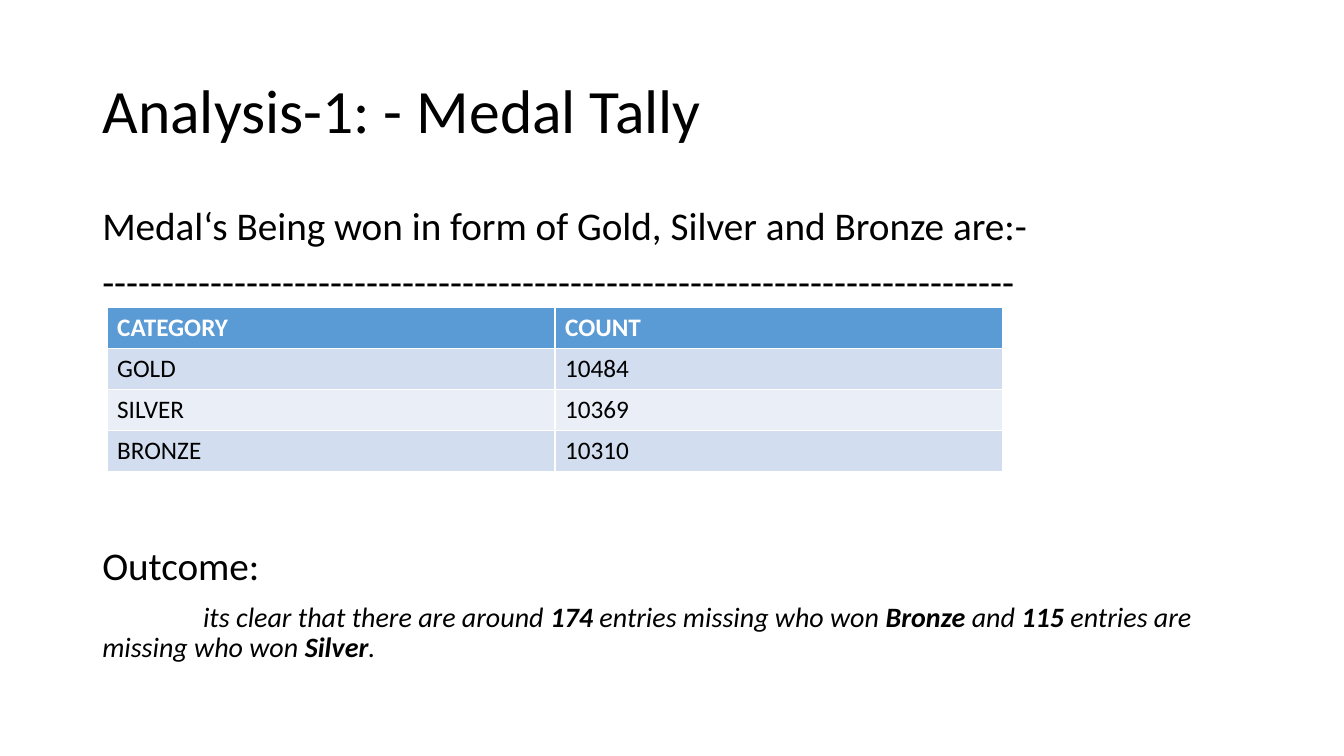
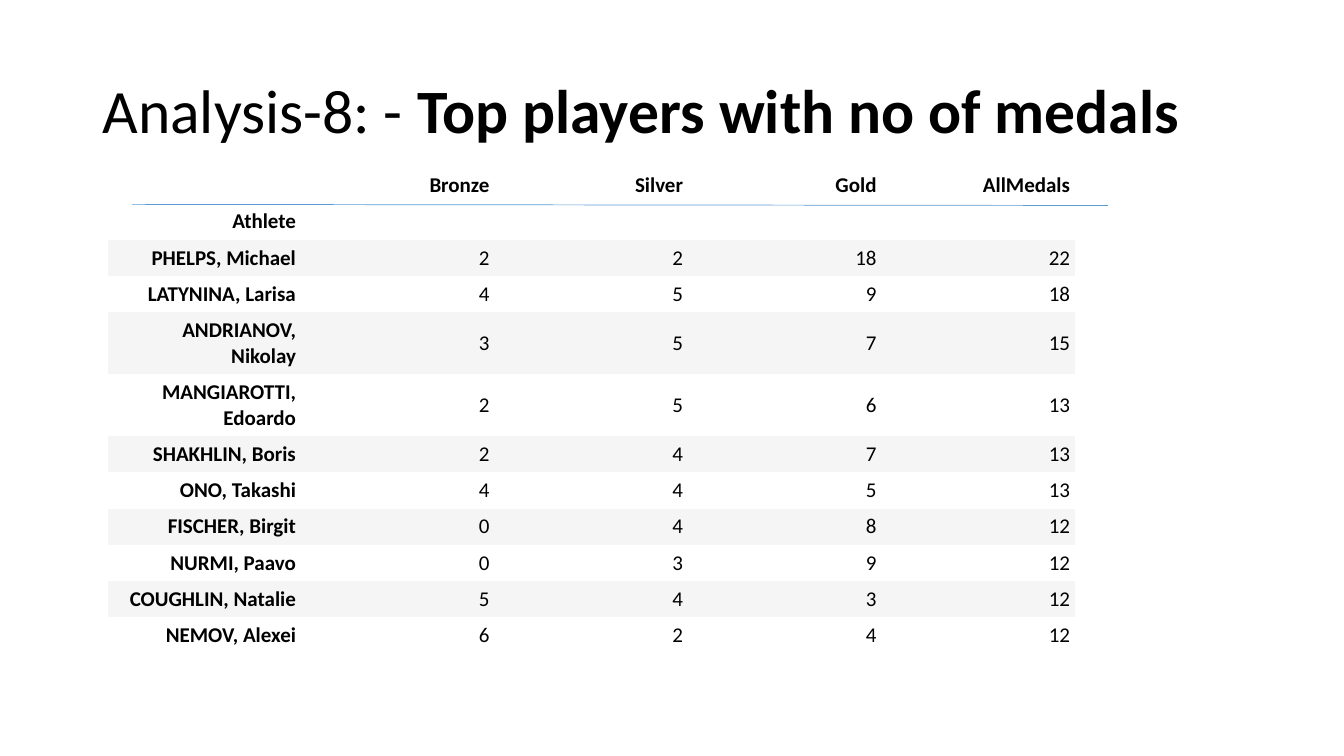
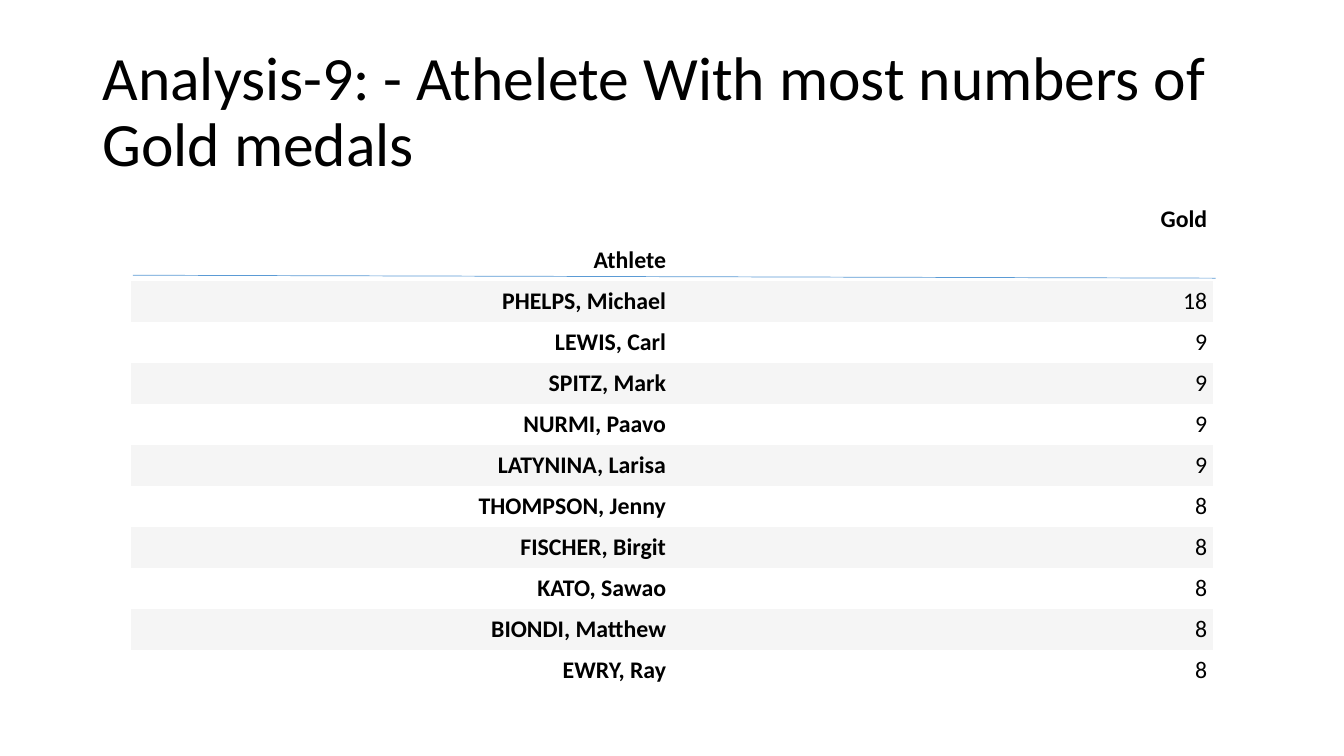
from lxml import etree
from pptx import Presentation
from pptx.dml.color import RGBColor
from pptx.enum.shapes import MSO_CONNECTOR
from pptx.enum.text import MSO_ANCHOR, MSO_AUTO_SIZE, PP_ALIGN
from pptx.oxml.ns import qn
from pptx.util import Pt

STRAIGHT = MSO_CONNECTOR.STRAIGHT
MIDDLE = MSO_ANCHOR.MIDDLE
NO_FIT = MSO_AUTO_SIZE.NONE
LEFT, RIGHT = PP_ALIGN.LEFT, PP_ALIGN.RIGHT

BLACK = RGBColor(0x00, 0x00, 0x00)
WHITE = RGBColor(0xFF, 0xFF, 0xFF)
BLUE = RGBColor(0x5B, 0x9B, 0xD5)
BAND_DARK = RGBColor(0xD2, 0xDE, 0xEF)
BAND_LIGHT = RGBColor(0xEA, 0xEF, 0xF7)
GREY = RGBColor(0xF5, 0xF5, 0xF5)
PLAIN_TABLE = "{2D5ABB26-0587-4C30-8999-92F81FD0307C}"

MEDALS = [
    ("CATEGORY", "COUNT"),
    ("GOLD", "10484"),
    ("SILVER", "10369"),
    ("BRONZE", "10310"),
]
TOP_PLAYERS = [
    ("", "Bronze", "Silver", "Gold", "AllMedals"),
    ("Athlete", "", "", "", ""),
    ("PHELPS, Michael", "2", "2", "18", "22"),
    ("LATYNINA, Larisa", "4", "5", "9", "18"),
    ("ANDRIANOV, Nikolay", "3", "5", "7", "15"),
    ("MANGIAROTTI, Edoardo", "2", "5", "6", "13"),
    ("SHAKHLIN, Boris", "2", "4", "7", "13"),
    ("ONO, Takashi", "4", "4", "5", "13"),
    ("FISCHER, Birgit", "0", "4", "8", "12"),
    ("NURMI, Paavo", "0", "3", "9", "12"),
    ("COUGHLIN, Natalie", "5", "4", "3", "12"),
    ("NEMOV, Alexei", "6", "2", "4", "12"),
]
TOP_GOLD = [
    ("", "Gold"),
    ("Athlete", ""),
    ("PHELPS, Michael", "18"),
    ("LEWIS, Carl", "9"),
    ("SPITZ, Mark", "9"),
    ("NURMI, Paavo", "9"),
    ("LATYNINA, Larisa", "9"),
    ("THOMPSON, Jenny", "8"),
    ("FISCHER, Birgit", "8"),
    ("KATO, Sawao", "8"),
    ("BIONDI, Matthew", "8"),
    ("EWRY, Ray", "8"),
]
OUTCOME = [
    ("its clear that there are around ", False),
    ("174", True),
    (" entries missing who won ", False),
    ("Bronze", True),
    (" and ", False),
    ("115", True),
    (" entries are missing who won ", False),
    ("Silver", True),
    (".", False),
]


def assign(obj, values):
    """Set each attribute of obj from a dict."""
    for name, value in values.items():
        setattr(obj, name, value)


class Deck:
    """Holds the shared style and the current slide."""

    def __init__(self):
        """Start a widescreen presentation."""
        self.prs = Presentation()
        assign(self.prs, {"slide_width": Pt(960), "slide_height": Pt(540)})

    def add_runs(self, p, runs, size, color=BLACK, italic=False, **layout):
        """Fill a paragraph with (text, bold) runs."""
        assign(p, layout)
        for text, bold in runs:
            r = p.add_run()
            r.text = text
            assign(r.font, {"name": "Calibri", "size": Pt(size), "bold": bold, "italic": italic})
            r.font.color.rgb = color

    def slide(self, *title):
        """Add a slide with its title runs."""
        self.s = self.prs.slides.add_slide(self.prs.slide_layouts[5])
        sp = self.s.shapes.title
        assign(sp, {"left": Pt(66), "top": Pt(28.75), "width": Pt(828), "height": Pt(104.4)})
        tf = sp.text_frame
        assign(tf, {"word_wrap": True, "auto_size": NO_FIT, "vertical_anchor": MIDDLE})
        self.add_runs(tf.paragraphs[0], title, 44, alignment=LEFT, line_spacing=0.9)

    def body(self, paragraphs):
        """Add the body text from (runs, size, italic, space before, indent) rows."""
        tf = self.s.shapes.add_textbox(Pt(66), Pt(143.75), Pt(828), Pt(342.6)).text_frame
        tf.word_wrap = True
        for i, (runs, size, italic, before, indent) in enumerate(paragraphs):
            p = tf.add_paragraph() if i else tf.paragraphs[0]
            self.add_runs(p, runs, size, italic=italic, line_spacing=0.9, space_before=Pt(before))
            p._p.get_or_add_pPr().set("indent", str(Pt(indent)))

    def table(self, rows, left, top, width, heights):
        """Add an equal-column table and return it."""
        n = len(rows[0])
        table = self.s.shapes.add_table(
            len(rows), n, Pt(left), Pt(top), Pt(width), Pt(sum(heights))).table
        for col in table.columns:
            col.width = Pt(width / n)
        for row, height in zip(table.rows, heights):
            row.height = Pt(height)
        return table

    def cell(self, cell, text, size, bold, fill, color=BLACK, **layout):
        """Fill one table cell."""
        p = cell.text_frame.paragraphs[0]
        if text:
            self.add_runs(p, [(text, bold)], size, color, **layout)
        else:
            p._p.get_or_add_endParaRPr().set("sz", str(size * 100))
        if fill is None:
            cell.fill.background()
        else:
            cell.fill.solid()
            cell.fill.fore_color.rgb = fill

    def banded_table(self, rows, left, top, width, height):
        """Add a blue table with a header row."""
        table = self.table(rows, left, top, width, [height] * len(rows))
        for i, row in enumerate(rows):
            fill = (BAND_DARK if i % 2 else BAND_LIGHT) if i else BLUE
            for j, text in enumerate(row):
                self.cell(table.cell(i, j), text, 18, i == 0, fill, BLACK if i else WHITE)

    def ranking_table(self, rows, left, top, width, heights, size):
        """Add a right-aligned ranking with two heading rows."""
        table = self.table(rows, left, top, width, heights)
        table._tbl.tblPr.find(qn("a:tableStyleId")).text = PLAIN_TABLE
        inset = Pt(size / 4)
        margins = {f"margin_{side}": inset for side in ("left", "top", "right", "bottom")}
        for i, row in enumerate(rows):
            fill = GREY if i > 1 and i % 2 == 0 else None
            for j, text in enumerate(row):
                cell = table.cell(i, j)
                assign(cell, {"vertical_anchor": MIDDLE, **margins})
                self.cell(cell, text, size, i < 2 or j == 0, fill, alignment=RIGHT)

    def rule(self, x1, y1, x2, y2):
        """Draw a thin blue line."""
        sp = self.s.shapes.add_connector(STRAIGHT, Pt(x1), Pt(y1), Pt(x2), Pt(y2))
        sp.line.color.rgb = BLUE
        sp.line.width = Pt(0.5)
        etree.SubElement(sp._element.spPr, qn("a:effectLst"))


def main():
    """Build the three slides."""
    deck = Deck()

    deck.slide(("Analysis-1: - Medal Tally", False))
    deck.body([
        ([("Medal‘s Being won in form of Gold, Silver and Bronze are:-", False)], 28, False, 10, 0),
        ([("-" * 76, False)], 28, False, 10, 0),
        ([("Outcome:", False)], 28, False, 173, 0),
        (OUTCOME, 20, True, 10, 72),
    ])
    deck.banded_table(MEDALS, 76.5, 219.75, 640, 29.2)

    deck.slide(("Analysis-8: - ", False), ("Top players with no of medals", True))
    heights = [44 if i in (4, 5) else 25.5 for i in range(len(TOP_PLAYERS))]
    deck.ranking_table(TOP_PLAYERS, 77, 119.5, 691.2, heights, 15)
    deck.rule(94.3, 146, 791.3, 146.8)

    deck.slide(("Analysis-9: - Athelete With most numbers of Gold medals", False))
    deck.ranking_table(TOP_GOLD, 93.6, 142.3, 773, [28.8] * len(TOP_GOLD), 17)
    deck.rule(95, 196.6, 868.3, 198.7)

    deck.prs.save("out.pptx")


if __name__ == "__main__":
    main()
